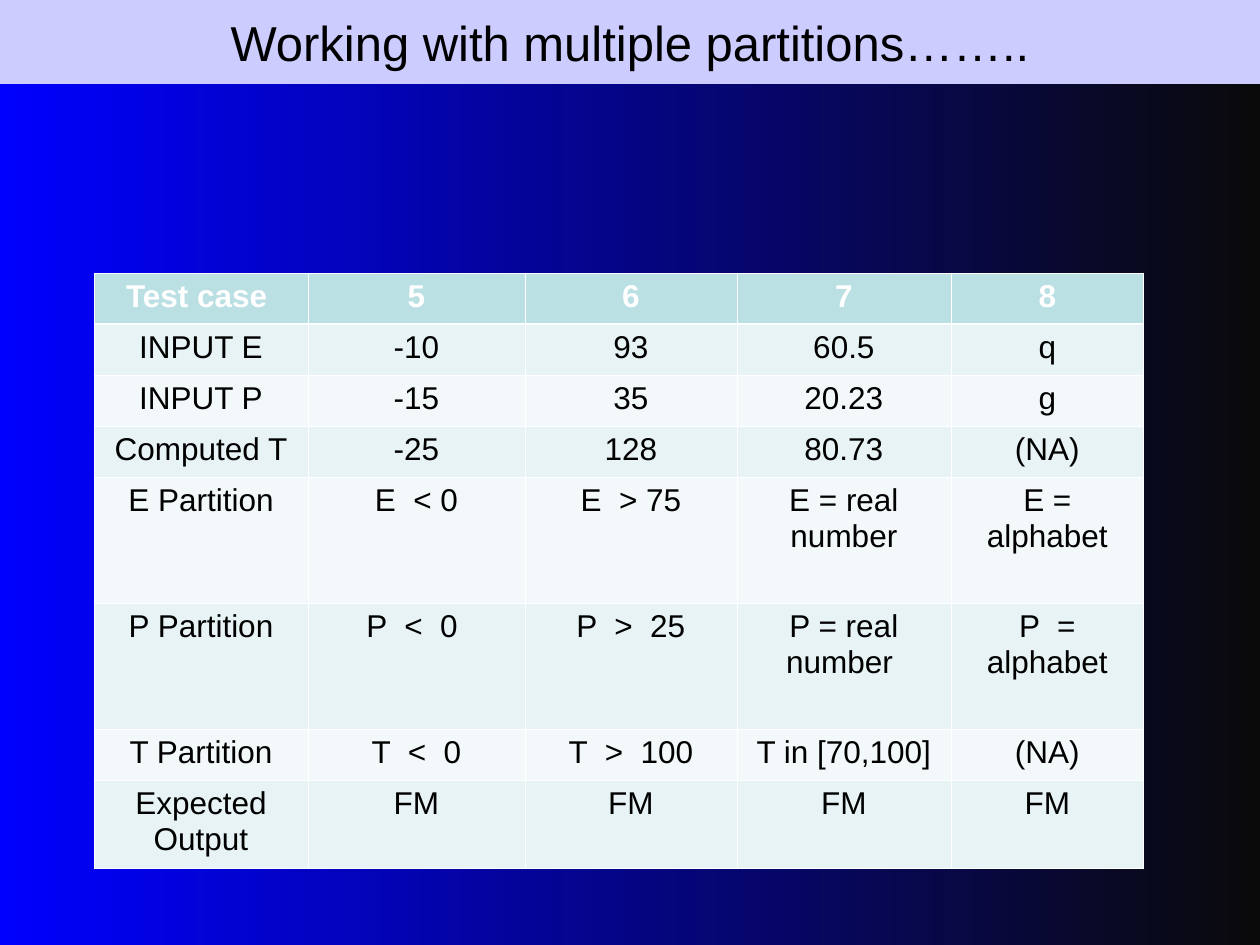
"""Build a slide with a table of test cases that cover several partitions."""
import lxml.etree
import pptx
import pptx.dml.color
import pptx.enum.shapes
import pptx.enum.text
import pptx.oxml.ns
import pptx.util

RGB = pptx.dml.color.RGBColor
BLUE = RGB(0x00, 0x00, 0xFF)
NEAR_BLACK = RGB(0x0A, 0x0A, 0x0A)
LAVENDER = RGB(0xCC, 0xCC, 0xFF)
BLACK = RGB(0x00, 0x00, 0x00)
WHITE = RGB(0xFF, 0xFF, 0xFF)
HEADER = RGB(0xBB, 0xE0, 0xE3)
BANDS = RGB(0xF3, 0xF9, 0xFA), RGB(0xE7, 0xF3, 0xF4)

TITLE = "Working with multiple partitions…….."
ROWS = [
    ("Test case ", "5", "6", "7", "8"),
    ("INPUT E", "-10", "93", "60.5", "q"),
    ("INPUT P", "-15", "35", "20.23", "g"),
    ("Computed T", "-25", "128", "80.73", "(NA)"),
    ("E Partition", "E  < 0", "E  > 75", "E = real number", "E = alphabet"),
    ("P Partition", "P  <  0 ", "P  >  25", "P = real number ", "P  = alphabet"),
    ("T Partition", "T  <  0", "T  >  100", "T in [70,100]", "(NA)"),
    ("Expected Output", "FM", "FM", "FM", "FM"),
]
COLUMN_WIDTHS = [214, 217, 212, 214, 193]
ROW_HEIGHTS = [51, 51, 51, 51, 126, 126, 51, 88]
TABLE_LEFT, TABLE_TOP = 94, 273
PAGE_WIDTH, PAGE_HEIGHT, TITLE_HEIGHT = 1260, 945, 84
THIN, THICK = 0.45, 1.47


def px(pixels):
    return pptx.util.Emu(round(pixels * 914400 / 126))


def write(frame, text, size, color, bold=False):
    para = frame.paragraphs[0]
    para.alignment = pptx.enum.text.PP_ALIGN.CENTER
    span = para.add_run()
    span.text = text
    span.font.name = "Arial"
    span.font.size = pptx.util.Pt(size)
    span.font.bold = bold
    span.font.color.rgb = color


def set_borders(cell, top, bottom):
    qn = pptx.oxml.ns.qn
    properties = cell._tc.get_or_add_tcPr()
    edges = [("a:lnL", THIN), ("a:lnR", THIN), ("a:lnT", top), ("a:lnB", bottom)]
    for index, (tag, width) in enumerate(edges):
        line = lxml.etree.Element(qn(tag), w=str(pptx.util.Pt(width)))
        fill = lxml.etree.SubElement(line, qn("a:solidFill"))
        lxml.etree.SubElement(fill, qn("a:srgbClr"), val=str(WHITE))
        properties.insert(index, line)


deck = pptx.Presentation()
deck.slide_width, deck.slide_height = px(PAGE_WIDTH), px(PAGE_HEIGHT)
page = deck.slides.add_slide(deck.slide_layouts[6])

backdrop = page.background.fill
backdrop.gradient()
backdrop.gradient_angle = 0
for stop, color, position in zip(backdrop.gradient_stops, (BLUE, NEAR_BLACK), (0, 1)):
    stop.color.rgb = color
    stop.position = position

title = page.shapes.add_shape(
    pptx.enum.shapes.MSO_SHAPE.RECTANGLE, 0, 0, px(PAGE_WIDTH), px(TITLE_HEIGHT))
title.shadow.inherit = False
title.fill.solid()
title.fill.fore_color.rgb = LAVENDER
title.line.fill.background()
title.text_frame.word_wrap = True
title.text_frame.vertical_anchor = pptx.enum.text.MSO_ANCHOR.MIDDLE
write(title.text_frame, TITLE, 28, BLACK)

table = page.shapes.add_table(
    len(ROWS), len(COLUMN_WIDTHS), px(TABLE_LEFT), px(TABLE_TOP),
    px(sum(COLUMN_WIDTHS)), px(sum(ROW_HEIGHTS))).table
for column, width in zip(table.columns, COLUMN_WIDTHS):
    column.width = px(width)
for row, height in zip(table.rows, ROW_HEIGHTS):
    row.height = px(height)

for r, texts in enumerate(ROWS):
    is_header = r == 0
    for c, text in enumerate(texts):
        cell = table.cell(r, c)
        cell.fill.solid()
        cell.fill.fore_color.rgb = HEADER if is_header else BANDS[r % 2]
        set_borders(cell, THICK if r == 1 else THIN, THICK if is_header else THIN)
        write(cell.text_frame, text, 18, WHITE if is_header else BLACK, is_header)

deck.save("out.pptx")
